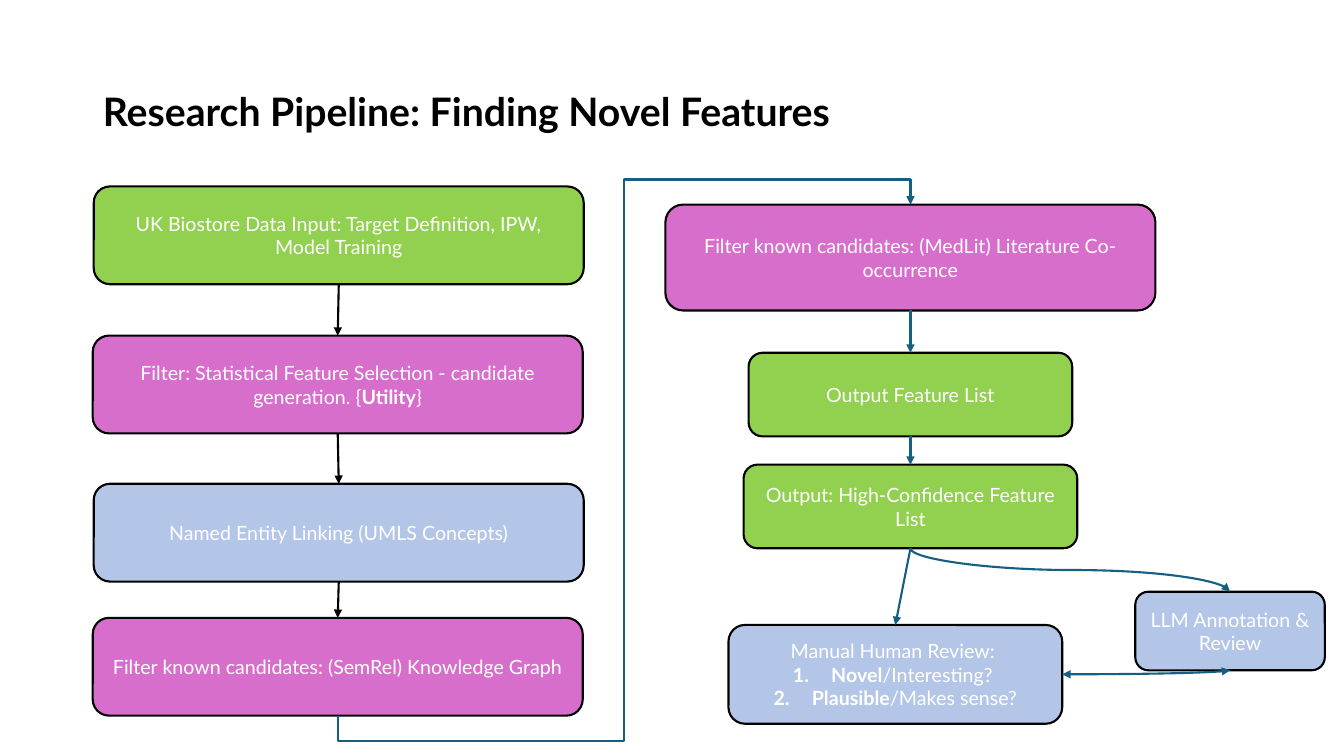
from lxml.etree import SubElement
from pptx import Presentation
from pptx.dml.color import RGBColor
from pptx.enum.shapes import MSO_CONNECTOR, MSO_SHAPE
from pptx.enum.text import MSO_ANCHOR, PP_ALIGN
from pptx.oxml.ns import qn
from pptx.util import Inches, Pt

GREEN = RGBColor(0x92, 0xD0, 0x50)
PINK = RGBColor(0xD8, 0x6E, 0xCC)
PALE_BLUE = RGBColor(0xB4, 0xC6, 0xE7)
TEAL = RGBColor(0x15, 0x60, 0x82)
BLACK = RGBColor(0, 0, 0)
WHITE = RGBColor(255, 255, 255)
FONT = "Lato"

TITLE = "Research Pipeline: Finding Novel Features"

# Column centres and the box sizes used in them, in inches
LEFT, LEFT_IN, RIGHT, REVIEW, SIDE = 3.36, 3.35, 9.03, 8.88, 12.2
WIDE, MEDIUM = 4.86, 3.31

# name: (centre, top, width, height, fill, paragraphs); a run is (text, bold)
STEPS = {
    "input": (LEFT, 1.85, WIDE, 0.97, GREEN, [
        [("UK Biostore Data Input: Target Definition, IPW, Model Training", False)]]),
    "statistics": (LEFT_IN, 3.33, WIDE, 0.97, PINK, [
        [("Filter: Statistical Feature Selection - candidate generation. {", False),
         ("Utility", True), ("}", False)]]),
    "linking": (LEFT, 4.8, WIDE, 0.97, PALE_BLUE, [
        [("Named Entity Linking (UMLS Concepts)", False)]]),
    "graph": (LEFT_IN, 6.13, WIDE, 0.97, PINK, [
        [("Filter known candidates: (SemRel) Knowledge Graph", False)]]),
    "literature": (RIGHT, 2.03, WIDE, 1.05, PINK, [
        [("Filter known candidates: (MedLit) Literature Co-occurrence", False)]]),
    "features": (RIGHT, 3.5, 3.21, 0.83, GREEN, [
        [("Output Feature List", False)]]),
    "confident": (RIGHT, 4.61, MEDIUM, 0.83, GREEN, [
        [("Output: High-Confidence Feature List", False)]]),
    "human": (REVIEW, 6.2, MEDIUM, 0.98, PALE_BLUE, [
        [("Manual Human Review: ", False)],
        [("Novel", True), ("/Interesting? ", False)],
        [("Plausible", True), ("/Makes sense?", False)]]),
    "llm": (SIDE, 5.87, 1.88, 0.78, PALE_BLUE, [
        [("LLM Annotation & Review", False)]]),
}

TOP, BOTTOM, RIGHT_SIDE = 0, 2, 3
STRAIGHT_ARROWS = [
    ("input", "statistics", BLACK),
    ("statistics", "linking", BLACK),
    ("linking", "graph", BLACK),
    ("literature", "features", TEAL),
    ("features", "confident", TEAL),
    ("confident", "human", TEAL),
]


def add_run(para, text, size, color, bold):
    span = para.add_run()
    span.text = text
    span.font.name = FONT
    span.font.size = Pt(size)
    span.font.bold = bold
    span.font.color.rgb = color


def number(para):
    """Make the paragraph an item of a numbered list."""
    properties = para._p.get_or_add_pPr()
    properties.set("marL", str(Inches(0.38)))
    properties.set("indent", str(-Inches(0.38)))
    SubElement(properties, qn("a:buFont"), typeface="+mj-lt")
    SubElement(properties, qn("a:buAutoNum"), type="arabicPeriod")


def add_step(slide, centre, top, width, height, fill, paragraphs):
    box = slide.shapes.add_shape(
        MSO_SHAPE.ROUNDED_RECTANGLE, Inches(centre - width / 2), Inches(top),
        Inches(width), Inches(height))
    box.shadow.inherit = False
    box.fill.solid()
    box.fill.fore_color.rgb = fill
    box.line.color.rgb = BLACK
    box.line.width = Pt(1.5)
    frame = box.text_frame
    frame.word_wrap = True
    frame.vertical_anchor = MSO_ANCHOR.MIDDLE
    for index, runs in enumerate(paragraphs):
        para = frame.add_paragraph() if index else frame.paragraphs[0]
        para.alignment = PP_ALIGN.CENTER
        if index:
            number(para)
        for text, bold in runs:
            add_run(para, text, 14, WHITE, bold)
    return box


def add_arrow(slide, kind, start, start_side, end, end_side, color, heads=("tailEnd",)):
    arrow = slide.shapes.add_connector(kind, 0, 0, 0, 0)
    arrow.begin_connect(start, start_side)
    arrow.end_connect(end, end_side)
    arrow.line.color.rgb = color
    arrow.line.width = Pt(1.5)
    for head in heads:
        SubElement(arrow.line._get_or_add_ln(), qn(f"a:{head}"), type="triangle")
    SubElement(arrow._element.spPr, qn("a:effectLst"))
    return arrow


def set_route(arrow, preset, adjustments=()):
    geometry = arrow._element.spPr.find(qn("a:prstGeom"))
    geometry.set("prst", preset)
    guides = geometry.find(qn("a:avLst"))
    for index, share in enumerate(adjustments, 1):
        SubElement(guides, qn("a:gd"), name=f"adj{index}",
                   fmla=f"val {round(share * 100000)}")


def turn(arrow, degrees, **flips):
    """Turn a connector by a quarter, so that it leaves and arrives vertically."""
    left, top, width, height = arrow.left, arrow.top, arrow.width, arrow.height
    arrow.left = left + (width - height) // 2
    arrow.top = top + (height - width) // 2
    arrow.width, arrow.height = height, width
    frame = arrow._element.spPr.find(qn("a:xfrm"))
    frame.set("rot", str(degrees * 60000))
    for flip in ("flipH", "flipV"):
        frame.set(flip, "1" if flips.get(flip) else "0")


def main():
    deck = Presentation()
    deck.slide_width, deck.slide_height = Inches(13.33), Inches(7.5)
    slide = deck.slides.add_slide(deck.slide_layouts[5])

    title = slide.shapes.title
    title.left, title.top = Inches(0.92), Inches(0.4)
    title.width, title.height = Inches(11.5), Inches(1.45)
    title.text_frame.vertical_anchor = MSO_ANCHOR.MIDDLE
    heading = title.text_frame.paragraphs[0]
    heading.alignment = PP_ALIGN.LEFT
    heading.line_spacing = 0.9
    add_run(heading, TITLE, 28, BLACK, True)

    boxes = {name: add_step(slide, *step) for name, step in STEPS.items()}

    for start, end, color in STRAIGHT_ARROWS:
        add_arrow(slide, MSO_CONNECTOR.STRAIGHT, boxes[start], BOTTOM,
                  boxes[end], TOP, color)

    next_column = add_arrow(slide, MSO_CONNECTOR.ELBOW, boxes["graph"], BOTTOM,
                            boxes["literature"], TOP, TEAL)
    set_route(next_column, "bentConnector5", (-0.049, 0.5, 1.049))
    turn(next_column, 90, flipH=True, flipV=True)

    to_llm = add_arrow(slide, MSO_CONNECTOR.CURVE, boxes["confident"], BOTTOM,
                       boxes["llm"], TOP, TEAL)
    set_route(to_llm, "curvedConnector3", (0.5,))
    turn(to_llm, 270, flipH=True)

    exchange = add_arrow(slide, MSO_CONNECTOR.CURVE, boxes["human"], RIGHT_SIDE,
                         boxes["llm"], BOTTOM, TEAL, ("headEnd", "tailEnd"))
    set_route(exchange, "curvedConnector2")

    deck.save("out.pptx")


if __name__ == "__main__":
    main()
